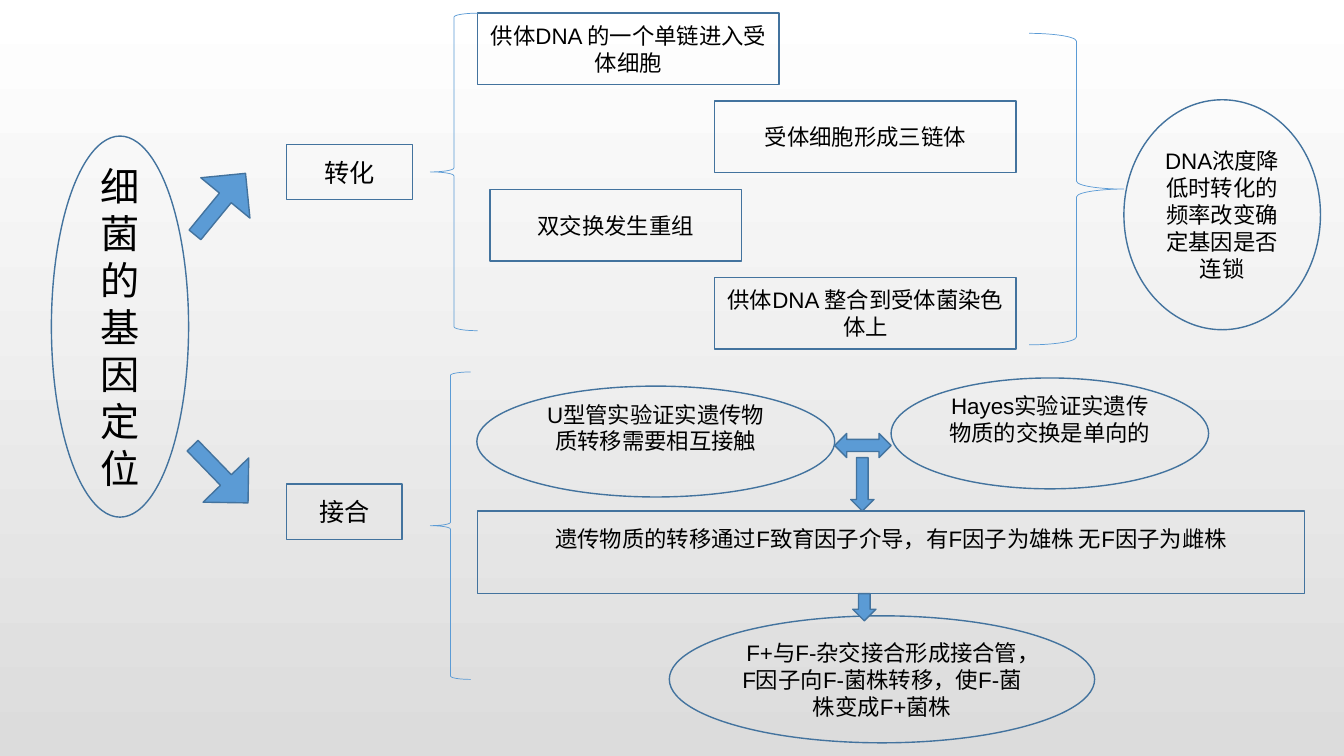
import pptx
import pptx.util
import pptx.dml.color
import pptx.enum.shapes
import pptx.enum.text

Pt = pptx.util.Pt
Color = pptx.dml.color.RGBColor
Kind = pptx.enum.shapes.MSO_SHAPE

WHITE = Color(0xFF, 0xFF, 0xFF)
GREY = Color(0xDC, 0xDC, 0xDC)
BLACK = Color(0, 0, 0)
BLUE = Color(0x5B, 0x9B, 0xD5)
EDGE = Color(0x43, 0x73, 0x9E)


class Board:
    """Holds the style and the slide being drawn."""

    font = "Arial"
    size = 16

    def __init__(self, slide):
        self.slide = slide

    def back(self):
        fill = self.slide.background.fill
        fill.gradient()
        fill.gradient_angle = 270
        for stop, color in zip(fill.gradient_stops, (WHITE, GREY)):
            stop.color.rgb = color

    def shape(self, kind, at, edge=EDGE, width=1):
        item = self.slide.shapes.add_shape(kind, *map(Pt, at))
        item.shadow.inherit = False
        item.fill.background()
        item.line.color.rgb = edge
        item.line.width = Pt(width)
        return item

    def label(self, kind, at, text, size=None, lift=0):
        """Outlined shape with centred text, raised by lift points."""
        frame = self.shape(kind, at).text_frame
        frame.word_wrap = True
        frame.vertical_anchor = pptx.enum.text.MSO_ANCHOR.MIDDLE
        if lift:
            frame.margin_top = 0
            frame.margin_bottom = Pt(2 * lift)
        para = frame.paragraphs[0]
        para.alignment = pptx.enum.text.PP_ALIGN.CENTER
        run = para.add_run()
        run.text = text
        run.font.name = self.font
        run.font.size = Pt(size or self.size)
        run.font.color.rgb = BLACK

    def box(self, at, text, size=None, lift=0):
        self.label(Kind.RECTANGLE, at, text, size, lift)

    def oval(self, at, text, size=None, lift=0):
        self.label(Kind.OVAL, at, text, size, lift)

    def brace(self, kind, at):
        self.shape(kind, at, BLUE, 0.5)

    def arrow(self, kind, at, turn=0, shaft=None):
        item = self.shape(kind, at)
        item.fill.solid()
        item.fill.fore_color.rgb = BLUE
        item.rotation = turn
        if shaft:
            item.adjustments[0] = shaft


def main():
    deck = pptx.Presentation()
    deck.slide_width, deck.slide_height = Pt(960), Pt(540)
    board = Board(deck.slides.add_slide(deck.slide_layouts[6]))
    board.back()

    board.oval((36.7, 97.2, 98, 272.2), "细菌的基因定位", 28)
    for top, turn in ((123.1, 309.4), (316.1, 45.9)):
        board.arrow(Kind.RIGHT_ARROW, (128.9, top, 56.9, 45.4), turn, 0.239)
    board.box((204.5, 103, 90, 39.6), "转化", 18)
    board.box((204.5, 345.6, 82.8, 39.6), "接合", 18)

    steps = (
        (341.3, 215.3, "供体DNA 的一个单链进入受体细胞"),
        (510.5, 215.3, "受体细胞形成三链体"),
        (349.9, 180, "双交换发生重组"),
        (510.5, 215.3, "供体DNA 整合到受体菌染色体上"),
    )
    for row, (left, width, text) in enumerate(steps):
        board.box((left, 9.2 + 63 * row, width, 51.1), text)
    board.brace(Kind.LEFT_BRACE, (307.4, 9.4, 33.8, 226.8))
    board.brace(Kind.RIGHT_BRACE, (735.1, 23.8, 67.7, 222.5))
    board.oval((802.8, 71.3, 140.4, 164.2),
               "DNA浓度降低时转化的频率改变确定基因是否连锁")

    board.brace(Kind.LEFT_BRACE, (307.4, 265.7, 28.8, 219.6))
    board.oval((340.6, 275.8, 255.6, 79.2),
               "U型管实验证实遗传物质转移需要相互接触", lift=10)
    board.oval((636.5, 270, 226.8, 79.2),
               "Hayes实验证实遗传物质的交换是单向的", lift=10)
    board.box((341.3, 365, 590.4, 59),
              "遗传物质的转移通过F致育因子介导，有F因子为雄株 无F因子为雌株", lift=10)
    board.oval((478.1, 439.9, 303.8, 90.7),
               "F+与F-杂交接合形成接合管，F因子向F-菌株转移，使F-菌株变成F+菌株")
    board.arrow(Kind.LEFT_RIGHT_ARROW, (596.2, 309.6, 40.3, 17.3))
    board.arrow(Kind.DOWN_ARROW, (607.7, 326.9, 16.6, 38.2))
    board.arrow(Kind.DOWN_ARROW, (609.1, 424.1, 16.6, 19.4))

    deck.save("out.pptx")


if __name__ == "__main__":
    main()
